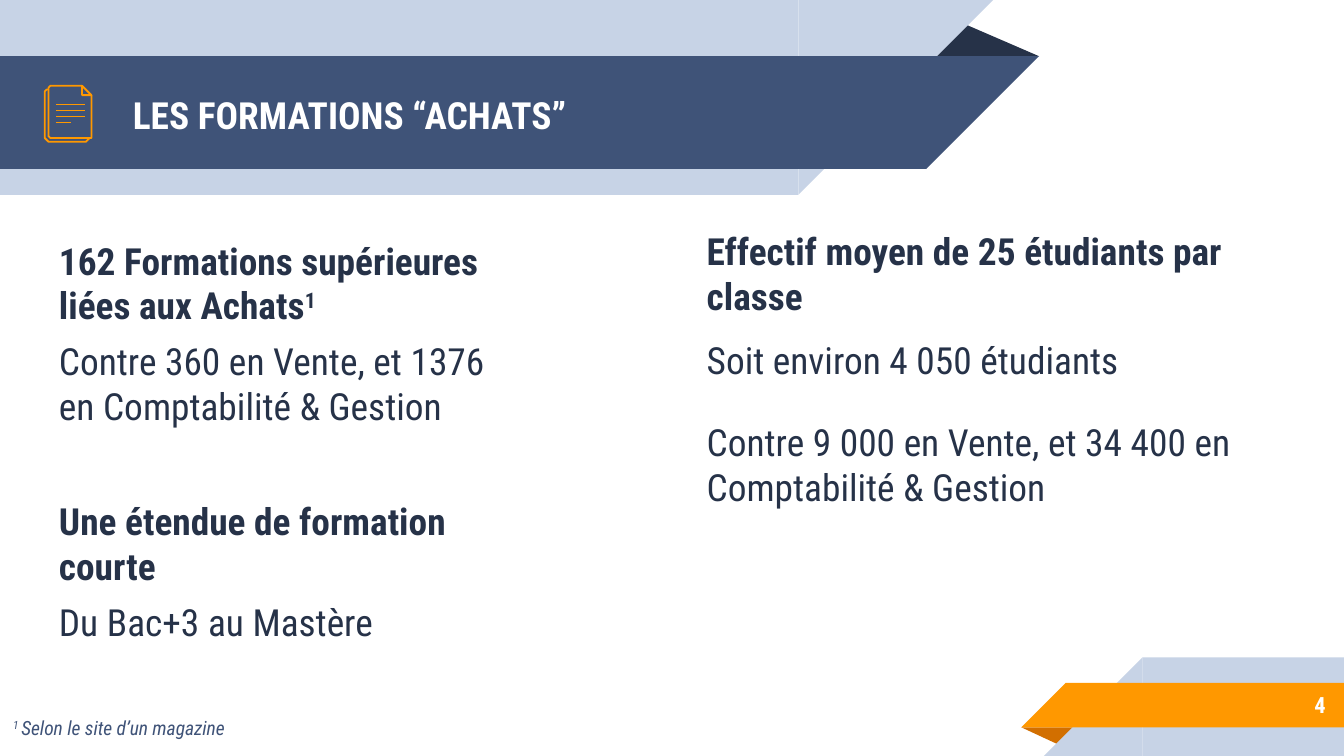
from dataclasses import dataclass
from typing import NamedTuple

from lxml.etree import SubElement as Sub
from pptx import Presentation as Deck
from pptx.dml.color import RGBColor as Rgb
from pptx.enum.shapes import MSO_CONNECTOR as Link, MSO_SHAPE as Kind
from pptx.enum.text import MSO_ANCHOR as Anchor, PP_ALIGN as Align
from pptx.oxml.ns import qn
from pptx.util import Pt

FONT = "Roboto Condensed"
NAVY, BLUE, PALE = "263248", "3F5378", "C7D3E6"
GOLD, RUST, WHITE = "FF9800", "D26F00", "FFFFFF"


class Box(NamedTuple):
    x: float
    y: float
    w: float
    h: float


class Run(NamedTuple):
    text: str
    bold: bool = False
    slant: bool = False
    raised: bool = False


class Para(NamedTuple):
    runs: list[Run]
    above: float = 0
    below: float = 0


@dataclass
class Part:
    kind: Kind
    box: Box
    fill: str
    turn: int = 0
    flip: bool = False
    peak: float | None = None


@dataclass
class Block:
    box: Box
    paras: list[Para]
    size: float = 20
    color: str = NAVY
    anchor: Anchor = Anchor.TOP
    align: Align = Align.LEFT


deck = Deck()
deck.slide_width, deck.slide_height = Pt(720), Pt(405)
slide = deck.slides.add_slide(deck.slide_layouts[6])
shapes = slide.shapes


def tint(code: str) -> Rgb:
    return Rgb.from_string(code)


def draw_part(part: Part) -> None:
    shape = shapes.add_shape(part.kind, *map(Pt, part.box))
    shape.shadow.inherit = False
    shape.fill.solid()
    shape.fill.fore_color.rgb = tint(part.fill)
    shape.line.fill.background()
    shape.rotation = part.turn
    if part.flip:
        shape._element.spPr.xfrm.set("flipH", "1")
    if part.peak is not None:
        shape.adjustments[0] = part.peak


def draw_block(block: Block) -> None:
    frame = shapes.add_textbox(*map(Pt, block.box)).text_frame
    frame.word_wrap = True
    frame.vertical_anchor = block.anchor
    frame.margin_left = frame.margin_right = Pt(7.2)
    frame.margin_top = frame.margin_bottom = Pt(7.2)
    for i, item in enumerate(block.paras):
        para = frame.add_paragraph() if i else frame.paragraphs[0]
        para.alignment = block.align
        para.space_before, para.space_after = Pt(item.above), Pt(item.below)
        for part in item.runs:
            run = para.add_run()
            run.text = part.text
            font = run.font
            font.name, font.size = FONT, Pt(block.size)
            font.bold, font.italic = part.bold, part.slant
            font.color.rgb = tint(block.color)
            if part.raised:
                run._r.get_or_add_rPr().set("baseline", "30000")


def draw_path(points: list[tuple[float, float]], close: bool = False) -> None:
    pen = shapes.build_freeform(*points[0], scale=Pt(1))
    pen.add_line_segments(points[1:], close=close)
    shape = pen.convert_to_shape()
    shape.shadow.inherit = False
    shape.fill.background()
    shape.line.color.rgb = tint(GOLD)
    shape.line.width = Pt(0.96)


def draw_rule(left: float, right: float, y: float) -> None:
    rule = shapes.add_connector(Link.STRAIGHT, Pt(left), Pt(y), Pt(right), Pt(y))
    rule.line.color.rgb = tint(GOLD)
    rule.line.width = Pt(0.96)
    Sub(rule._element.spPr, qn("a:effectLst"))


def head_band(y: float, w: float, h: float, fill: str) -> list[Part]:
    return [
        Part(Kind.RECTANGLE, Box(0, y, w, h), fill, 180, True),
        Part(Kind.RIGHT_TRIANGLE, Box(w, y, h, h), fill, 180, True),
    ]


def foot_band(x: float, y: float, h: float, fill: str) -> list[Part]:
    return [
        Part(Kind.RECTANGLE, Box(x, y, 720 - x, h), fill, flip=True),
        Part(Kind.RIGHT_TRIANGLE, Box(x - h, y, h, h), fill, flip=True),
    ]


parts = [
    Part(Kind.ISOSCELES_TRIANGLE, Box(495.4, 12.1, 61.2, 18), NAVY, peak=0.32),
    *head_band(0, 427.6, 104.4, PALE),
    *head_band(30, 496.2, 60.5, BLUE),
    Part(Kind.ISOSCELES_TRIANGLE, Box(547.2, 389.7, 31, 9.8), RUST, 180, peak=0.32),
    *foot_band(612, 352.2, 52.8, PALE),
    *foot_band(571, 365.8, 23.9, GOLD),
]

blocks = [
    Block(Box(24.5, 120.2, 265.7, 126), [
        Para([Run("162 Formations supérieures liées aux Achats", True),
              Run("1", True, raised=True)], 6),
        Para([Run("Contre 360 en Vente, et 1376 en Comptabilité & Gestion")], 6),
    ]),
    Block(Box(64.1, 31, 414, 60.5), [Para([Run("LES FORMATIONS “ACHATS”", True)])],
          color=WHITE, anchor=Anchor.MIDDLE),
    Block(Box(371.5, 115.2, 309.6, 214.6), [
        Para([Run("Effectif moyen de 25 étudiants par classe", True)], 6),
        Para([Run("Soit environ 4 050 étudiants")], 10, 10),
        Para([Run("Contre 9 000 en Vente, et 34 400 en Comptabilité & Gestion")], 10, 10),
    ]),
    Block(Box(599.8, 365, 117.4, 25.2), [Para([Run("4", True)])],
          12, WHITE, Anchor.MIDDLE, Align.RIGHT),
    Block(Box(24.5, 259.9, 265.7, 107.3), [
        Para([Run("Une étendue de formation courte", True)], 6),
        Para([Run("Du Bac+3 au Mastère")], 6),
    ]),
    Block(Box(0, 377.3, 483.1, 27.4), [
        Para([Run("1 ", slant=True, raised=True),
              Run("Selon le site d’un magazine", slant=True)]),
    ], 10.5, BLUE),
]

for part in parts:
    draw_part(part)

draw_path([(47.6, 74.2), (47.2, 75.4), (46, 76), (26, 76), (24.7, 75.3),
           (24.2, 74), (24.2, 49.2), (24.8, 48), (26.2, 47.6)])
draw_path([(49.1, 51), (49.1, 72.6), (48.6, 73.5), (47.6, 73.9), (27.6, 73.9),
           (26.7, 73.5), (26.3, 72.6), (26.3, 47.3), (26.7, 46.4),
           (27.6, 46), (44, 46)])
draw_path([(44, 46), (49.1, 51.1), (45.4, 51.1), (44.4, 50.7), (44, 49.8)], True)
for i, right in enumerate([45.5, 45.5, 45.5, 38.2]):
    draw_rule(30.2, right, 56 + 3.2 * i)

for block in blocks:
    draw_block(block)

deck.save("out.pptx")
